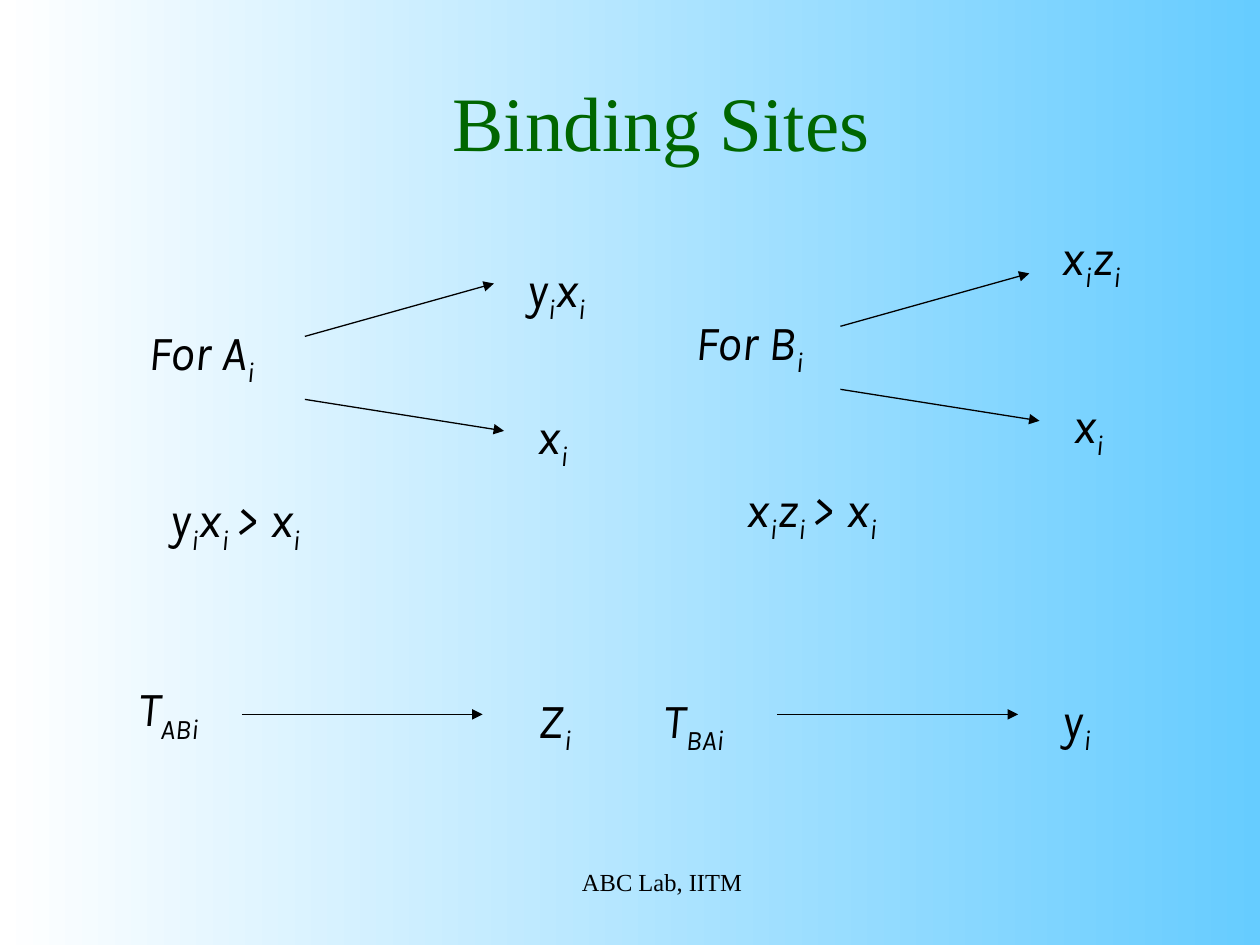
from lxml import etree
from pptx import Presentation
from pptx.dml.color import RGBColor
from pptx.enum import shapes, text
from pptx.oxml import ns
from pptx.util import Inches, Pt

BLACK = RGBColor(0x00, 0x00, 0x00)
GREEN = RGBColor(0x00, 0x66, 0x00)
SKY = RGBColor(0x66, 0xCC, 0xFF)
WHITE = RGBColor(0xFF, 0xFF, 0xFF)


def write_text(shape, content, size, font="Times New Roman", color=BLACK,
               italic=False, align=text.PP_ALIGN.CENTER, space_before=0):
    """Fill a shape with one paragraph; every second part between bars is a subscript."""
    frame = shape.text_frame
    frame.word_wrap = True
    paragraph = frame.paragraphs[0]
    paragraph.alignment = align
    paragraph.space_before = Pt(space_before)
    for index, part in enumerate(filter(None, content.split("|"))):
        run = paragraph.add_run()
        run.text = part
        run.font.name = font
        run.font.size = Pt(size)
        run.font.italic = italic
        run.font.color.rgb = color
        if index % 2:
            run.font._element.set("baseline", "-25000")


def add_arrow(slide, start_x, start_y, end_x, end_y):
    arrow = slide.shapes.add_connector(
        shapes.MSO_CONNECTOR.STRAIGHT,
        Inches(start_x), Inches(start_y), Inches(end_x), Inches(end_y))
    arrow.line.color.rgb = BLACK
    arrow.line.width = Pt(0.75)
    line = arrow.line._get_or_add_ln()
    etree.SubElement(line, ns.qn("a:tailEnd"), type="triangle")
    etree.SubElement(arrow._element.spPr, ns.qn("a:effectLst"))


presentation = Presentation()
presentation.slide_width = Inches(10)
presentation.slide_height = Inches(7.5)
slide = presentation.slides.add_slide(presentation.slide_layouts[5])

background = slide.background.fill
background.gradient()
background.gradient_angle = 180
for stop, color in zip(background.gradient_stops, (SKY, WHITE)):
    stop.color.rgb = color

title = slide.shapes.title
title.left, title.top = Inches(1), Inches(0.33)
title.width, title.height = Inches(8.5), Inches(1.25)
title.text_frame.vertical_anchor = text.MSO_ANCHOR.MIDDLE
write_text(title, "Binding Sites", size=44, color=GREEN)

# Formula, left, top, width
formulas = [
    ("For A|i", 1.08, 2.5, 1.58),
    ("y|i|x|i", 4.08, 2, 1.67),
    ("x|i", 4.17, 3.17, 0.92),
    ("y|i|x|i |> x|i", 1.25, 3.83, 3.08),
    ("For B|i", 5.42, 2.42, 1.83),
    ("x|i|z|i", 8.33, 1.75, 1.67),
    ("x|i", 8.42, 3.08, 0.92),
    ("x|i|z|i |> x|i", 5.83, 3.75, 3.08),
    ("T|ABi", 1, 5.33, 2.58),
    ("Z|i", 4.17, 5.42, 1.08),
    ("T|BAi", 5.17, 5.42, 2.58),
    ("y|i", 8.33, 5.42, 1.08),
]
for formula, left, top, width in formulas:
    box = slide.shapes.add_textbox(
        Inches(left), Inches(top), Inches(width), Inches(0.63))
    box.text_frame.auto_size = text.MSO_AUTO_SIZE.SHAPE_TO_FIT_TEXT
    write_text(box, formula, size=28, font="Karla", italic=True,
               align=text.PP_ALIGN.LEFT, space_before=17.5)

# The right half repeats the left arrows, with its branches slightly higher
for shift, rise in ((0, 0), (4.25, 0.08)):
    add_arrow(slide, 2.42 + shift, 2.67 - rise, 3.92 + shift, 2.25 - rise)
    add_arrow(slide, 2.42 + shift, 3.17 - rise, 4 + shift, 3.42 - rise)
    add_arrow(slide, 1.92 + shift, 5.67, 3.83 + shift, 5.67)

footer = slide.shapes.add_textbox(
    Inches(3.67), Inches(6.83), Inches(3.17), Inches(0.5))
write_text(footer, "ABC Lab, IITM", size=14)

presentation.save("out.pptx")
